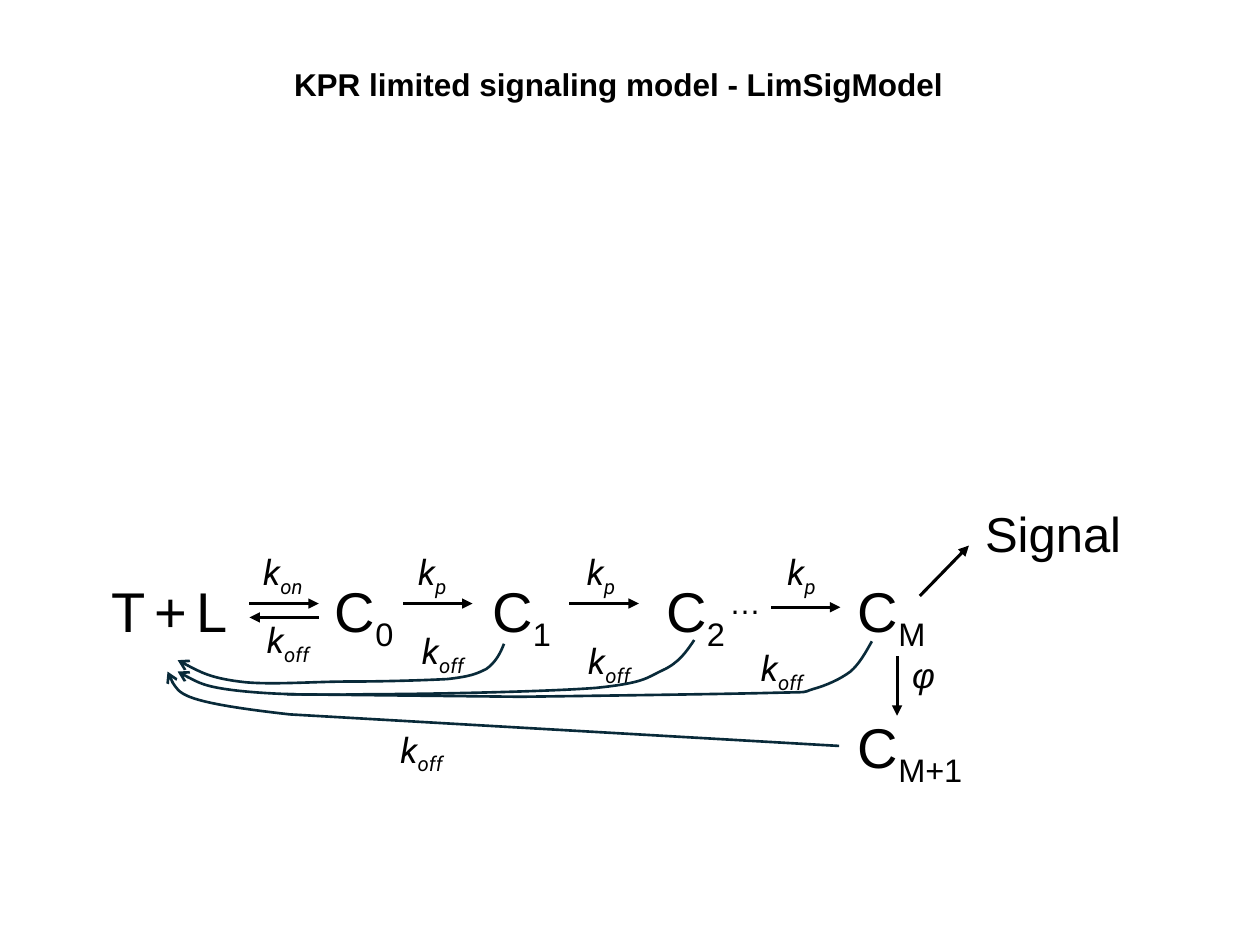
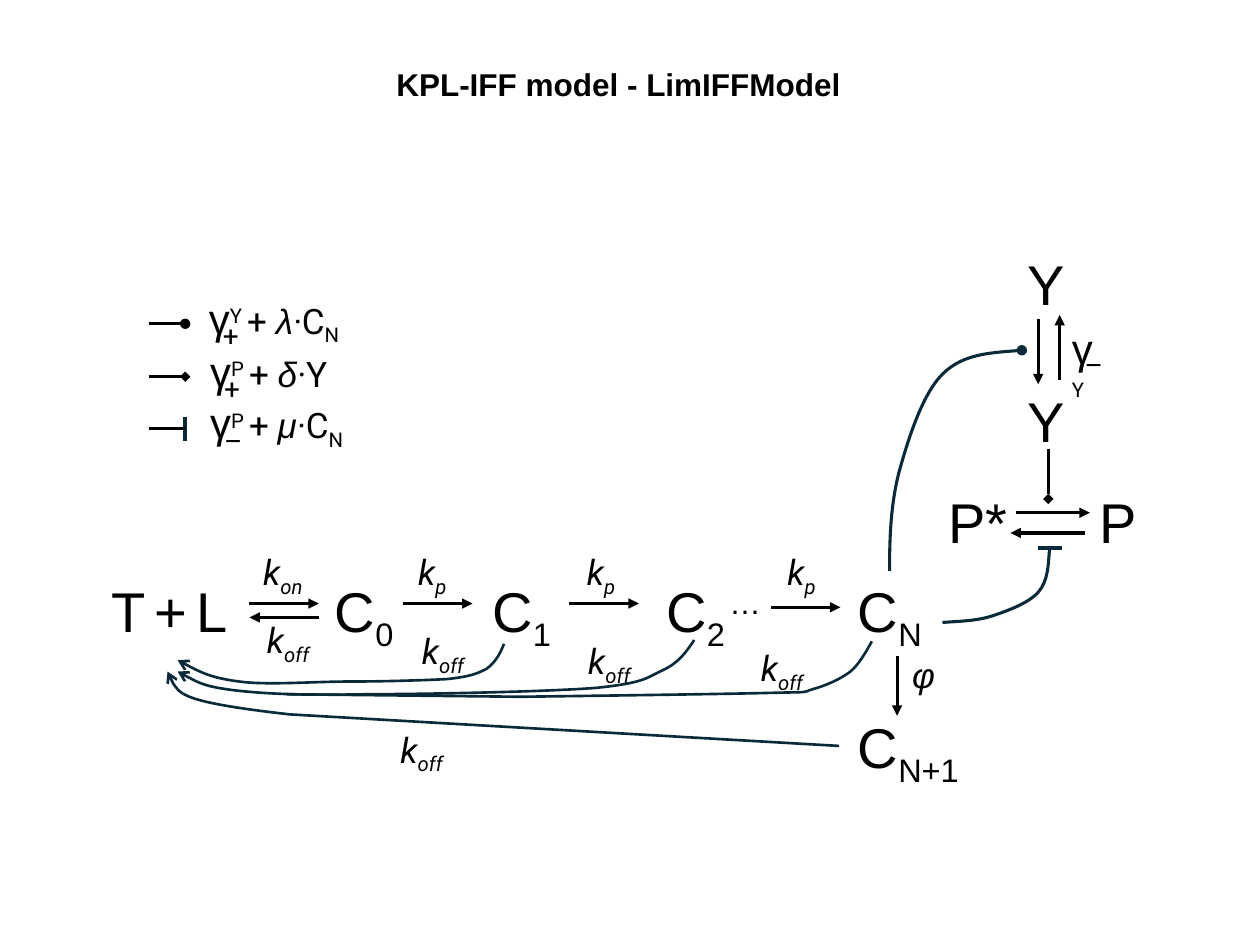
"""Build two slides showing kinetic proofreading reaction schemes."""
from lxml import etree
from pptx import Presentation
from pptx.dml.color import RGBColor
from pptx.enum import shapes, text
from pptx.oxml import ns
from pptx.util import Inches, Pt

BLACK = RGBColor(0x00, 0x00, 0x00)
NAVY = RGBColor(0x09, 0x2A, 0x39)
ARROW_WT, RETURN_WT, BAR_WT = 1.75, 1.5, 2
TITLE_CENTER, TITLE_TOP = 4.91, 0.47
HEIGHTS = {32: 0.64, 28: 0.57, 24: 0.5, 20: 0.44, 18: 0.4, 16: 0.37}

TITLE = dict(size=18, name="Arial", bold=True)
SPECIES = dict(size=32, name="Arial")
SPECIES_SUB = dict(SPECIES, baseline=-25)
SMALL = dict(size=18, name="Arial")
SIGNAL = dict(size=28, name="Arial")
RATE = dict(size=20, name="Roboto", italic=True)
RATE_SUB = dict(RATE, baseline=-25)
GREEK = dict(size=20, name="Arial", italic=True)
GAMMA = dict(size=24, name="Arial")
TERM = dict(size=20, name="Roboto")
TERM_SUB = dict(TERM, baseline=-25)
TERM_SUP = dict(TERM, baseline=30)
SIGN = dict(size=16, name="Roboto")


def species(name, sub=""):
    return [(name, SPECIES)] + ([(sub, SPECIES_SUB)] if sub else [])


def rate(sub):
    return [("k", RATE), (sub, RATE_SUB)]


def gamma(sup, factor, name, sub=""):
    runs = [("γ", GAMMA), (sup + " ", TERM_SUP), ("+ ", TERM), (factor, GREEK), ("·", RATE), (name, TERM)]
    return runs + ([(sub, TERM_SUB)] if sub else [])


CHAIN_LABELS = [
    (0.79, 4.53, 1.13, [("T", SPECIES), (" ", SMALL), ("+", SPECIES), (" ", SMALL), ("L", SPECIES)]),
    *[(x, 4.53, 0.69, species("C", n)) for x, n in ((2.56, "0"), (3.81, "1"), (5.19, "2"))],
    (5.69, 4.58, 0.45, [("…", SMALL)]),
    (1.99, 4.32, 0.55, rate("on")),
    *[(x, 4.32, 0.45, rate("p")) for x in (3.22, 4.56, 6.15)],
    *[(x, y, 0.55, rate("off"))
      for x, y in ((2.02, 4.86), (3.25, 4.95), (4.57, 5.03), (5.94, 5.08), (3.08, 5.73))],
    (7.14, 5.14, 0.35, [("φ", GREEK)]),
]
CHAIN_ARROWS = [
    (1.98, 4.79, 2.53, 4.79, "triangle"),
    (2.53, 4.9, 1.98, 4.9, "triangle"),
    (3.2, 4.79, 3.75, 4.79, "triangle"),
    (4.52, 4.79, 5.07, 4.79, "triangle"),
    (6.12, 4.82, 6.67, 4.82, "triangle"),
    (7.12, 5.21, 7.12, 5.68, "triangle"),
]
# Each curve: start, segments (one point = line, three points = Bezier), end mark, weight
RETURN_CURVES = [
    ((6.66, 5.92), [[(2.3, 5.67)], [(1.41, 5.57), (1.37, 5.45), (1.33, 5.33)]], "arrow", RETURN_WT),
    ((4, 5.11), [
        [(3.97, 5.19), (3.93, 5.26), (3.86, 5.31)],
        [(3.78, 5.35), (3.73, 5.37), (3.55, 5.39)],
        [(3.36, 5.4), (3.04, 5.41), (2.76, 5.41)],
        [(2.49, 5.41), (2.12, 5.44), (1.9, 5.41)],
        [(1.67, 5.38), (1.54, 5.31), (1.41, 5.24)]], "arrow", RETURN_WT),
    ((5.51, 5.08), [
        [(5.45, 5.17), (5.39, 5.26), (5.26, 5.32)],
        [(5.13, 5.38), (5.12, 5.42), (4.73, 5.46)],
        [(4.34, 5.49), (3.4, 5.51), (2.93, 5.51)],
        [(2.45, 5.52), (2.13, 5.51), (1.87, 5.48)],
        [(1.62, 5.45), (1.52, 5.39), (1.41, 5.33)]], "arrow", RETURN_WT),
    ((6.92, 5.09), [
        [(6.87, 5.18), (6.82, 5.27), (6.75, 5.33)],
        [(6.67, 5.39), (6.56, 5.44), (6.45, 5.47)],
        [(6.35, 5.5), (6.48, 5.49), (6.09, 5.5)],
        [(5.7, 5.51), (4.13, 5.53), (4.13, 5.53)],
        [(2.28, 5.51)]], None, RETURN_WT),
]
FEEDBACK_CURVES = [
    ((7.48, 4.94), [
        [(7.61, 4.93), (7.74, 4.93), (7.87, 4.89)],
        [(7.99, 4.85), (8.16, 4.79), (8.24, 4.7)],
        [(8.32, 4.61), (8.32, 4.48), (8.33, 4.35)]], None, ARROW_WT),
    ((7.06, 4.53), [
        [(7.06, 4.26), (7.07, 3.99), (7.14, 3.73)],
        [(7.21, 3.48), (7.32, 3.13), (7.48, 2.97)],
        [(7.64, 2.81), (7.87, 2.8), (8.11, 2.78)]], "oval", ARROW_WT),
]
LEGEND = [
    (2.57, "oval", 1.56, 1.38, gamma("Y", "λ", "C", "N"), "+"),
    (2.99, "diamond", 1.57, 1.19, gamma("P", "δ", "Y"), "+"),
    (3.4, None, 1.57, 1.38, gamma("P", "μ", "C", "N"), "–"),
]
MODELS = [
    dict(title="KPR limited signaling model - LimSigModel", title_width=5.41, last="M", last_width=0.78,
         labels=[(7.72, 3.95, 1.3, [("Signal", SIGNAL)])],
         arrows=[(7.3, 4.73, 7.69, 4.33, "triangle")],
         curves=[], bars=[], signs=[], legend=[]),
    dict(title="KPL-IFF model - LimIFFModel", title_width=3.76, last="N", last_width=0.74,
         labels=[(7.43, 3.82, 0.68, species("P*")), (8.63, 3.82, 0.5, species("P")),
                 (8.06, 3.02, 0.5, species("Y")), (8.06, 1.93, 0.5, species("Y")),
                 (8.41, 2.51, 0.46, [("γ", GAMMA), ("Y", TERM_SUP)])],
         arrows=[(8.06, 4.07, 8.65, 4.07, "triangle"), (8.61, 4.23, 8.02, 4.23, "triangle"),
                 (8.32, 3.56, 8.32, 3.96, "diamond"),
                 (8.24, 2.53, 8.24, 3.05, "triangle"), (8.41, 3.02, 8.41, 2.5, "triangle")],
         curves=FEEDBACK_CURVES,
         bars=[(8.24, 4.35, 8.43, 4.35), (1.47, 3.31, 1.47, 3.5)],
         signs=[(8.51, 2.71, "–")], legend=LEGEND),
]


def add_label(s, x, y, width, runs, wrap=False, align=text.PP_ALIGN.LEFT):
    height = HEIGHTS[runs[0][1]["size"]]
    tf = s.shapes.add_textbox(Inches(x), Inches(y), Inches(width), Inches(height)).text_frame
    tf.word_wrap = wrap
    tf.auto_size = text.MSO_AUTO_SIZE.SHAPE_TO_FIT_TEXT
    p = tf.paragraphs[0]
    p.alignment = align
    for content, style in runs:
        r = p.add_run()
        r.text = content
        r.font.color.rgb = BLACK
        for key, value in style.items():
            if key == "baseline":
                r.font._element.set("baseline", str(value * 1000))
            else:
                setattr(r.font, key, Pt(value) if key == "size" else value)


def stroke(sp, color, weight, mark):
    sp.line.color.rgb = color
    sp.line.width = Pt(weight)
    if mark:
        etree.SubElement(sp.line._get_or_add_ln(), ns.qn("a:tailEnd"), type=mark)
    etree.SubElement(sp._element.spPr, ns.qn("a:effectLst"))


def add_line(s, x1, y1, x2, y2, mark=None, color=BLACK, weight=ARROW_WT):
    ends = [Inches(v) for v in (x1, y1, x2, y2)]
    stroke(s.shapes.add_connector(shapes.MSO_CONNECTOR.STRAIGHT, *ends), color, weight, mark)


def add_curve(s, start, segments, mark, weight):
    builder = s.shapes.build_freeform(Inches(start[0]), Inches(start[1]))
    builder.add_line_segments([(Inches(x), Inches(y)) for seg in segments for x, y in seg], close=False)
    sp = builder.convert_to_shape()
    steps = iter(list(sp._element.iter(ns.qn("a:lnTo"))))
    for seg in segments:
        group = [next(steps) for _ in seg]
        if len(group) == 3:
            bezier = etree.Element(ns.qn("a:cubicBezTo"))
            group[0].addprevious(bezier)
            for step in group:
                bezier.append(step[0])
                step.getparent().remove(step)
    sp.fill.background()
    stroke(sp, NAVY, weight, mark)


def add_model(prs, model):
    s = prs.slides.add_slide(prs.slide_layouts[6])
    width = model["title_width"]
    add_label(s, TITLE_CENTER - width / 2, TITLE_TOP, width, [(model["title"], TITLE)],
              align=text.PP_ALIGN.CENTER)
    last = model["last"]
    ends = [(6.71, 4.53, model["last_width"], species("C", last)),
            (6.71, 5.61, 1.12, species("C", last + "+1"))]
    for label in CHAIN_LABELS + ends + model["labels"]:
        add_label(s, *label)
    for arrow in CHAIN_ARROWS + model["arrows"]:
        add_line(s, *arrow)
    for curve in RETURN_CURVES + model["curves"]:
        add_curve(s, *curve)
    for bar in model["bars"]:
        add_line(s, *bar, color=NAVY, weight=BAR_WT)
    signs = list(model["signs"])
    for y, mark, x, term_width, runs, sign in model["legend"]:
        add_line(s, 1.18, y, 1.47, y, mark)
        add_label(s, x, y - 0.3, term_width, runs)
        signs.append((x + 0.11, y - 0.09, sign))
    for x, y, sign in signs:
        add_label(s, x, y, 0.32, [(sign, SIGN)], wrap=True)


def main():
    prs = Presentation()
    prs.slide_width, prs.slide_height = Inches(10), Inches(7.5)
    for model in MODELS:
        add_model(prs, model)
    prs.save("out.pptx")


if __name__ == "__main__":
    main()
